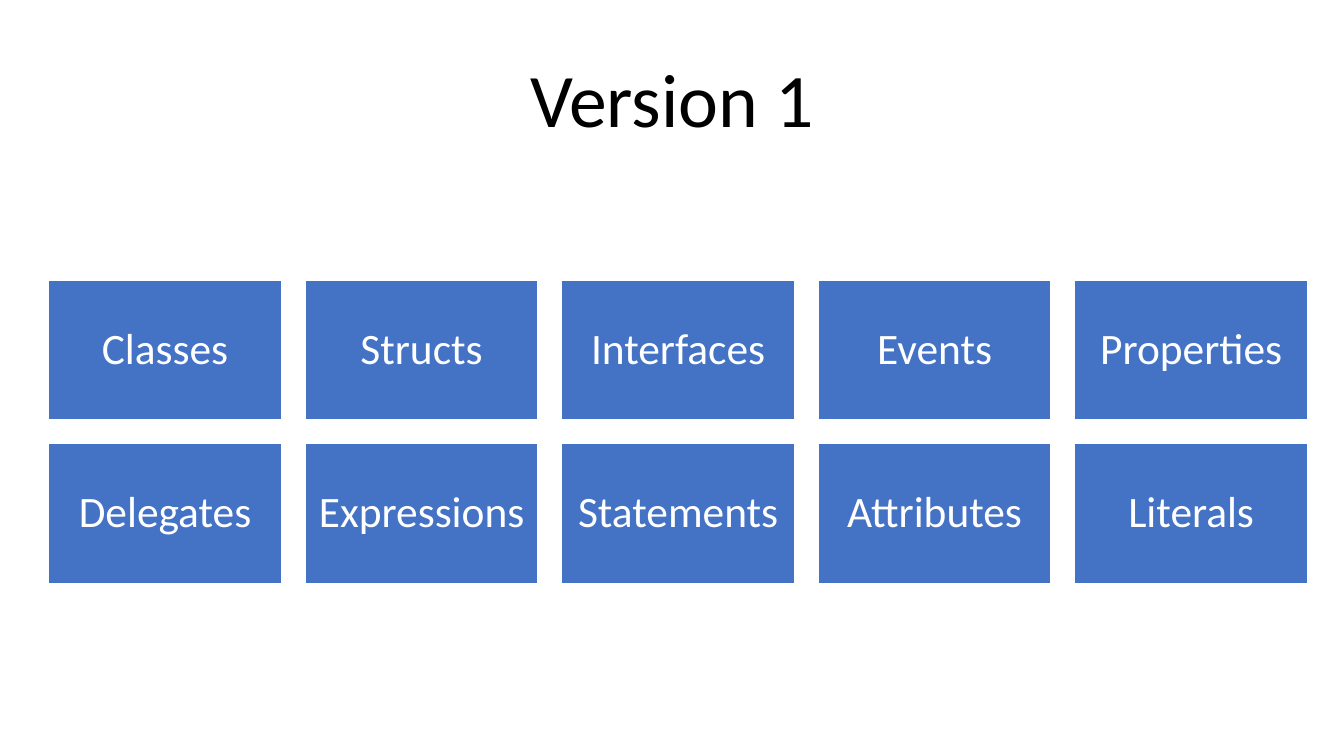
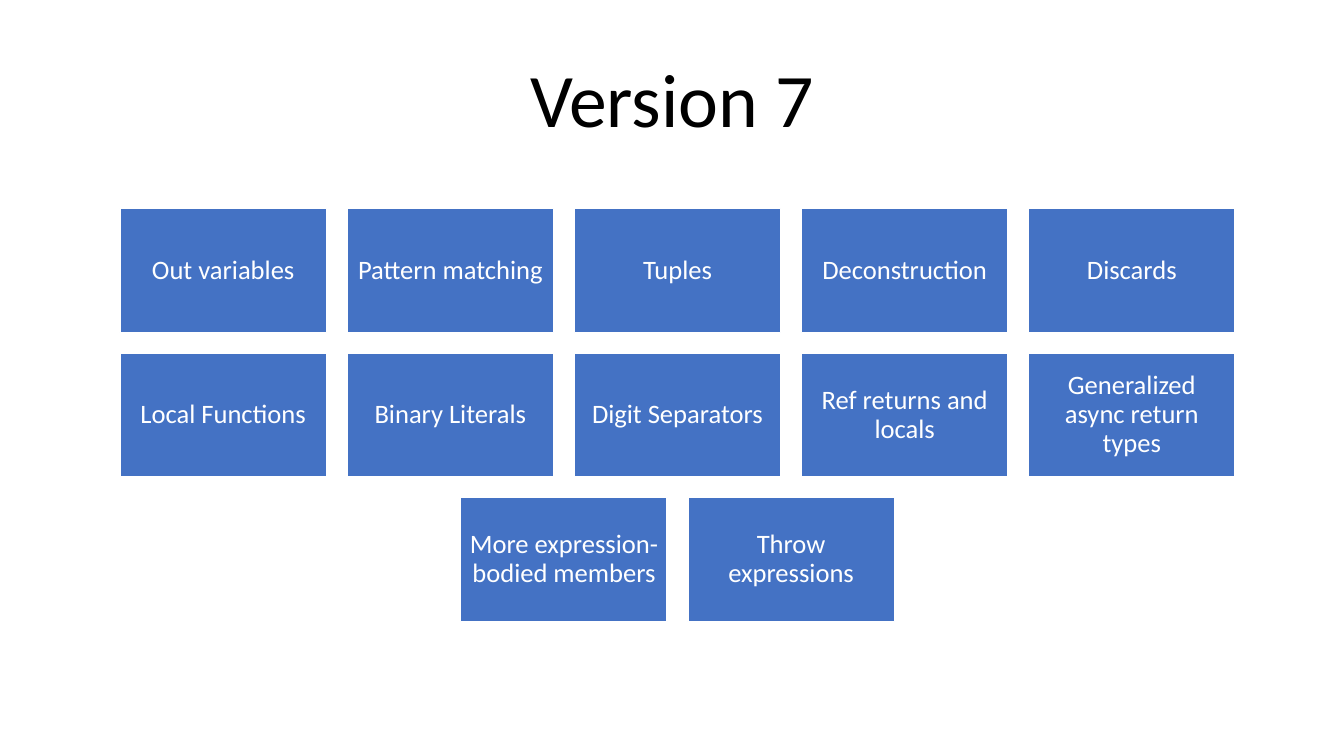
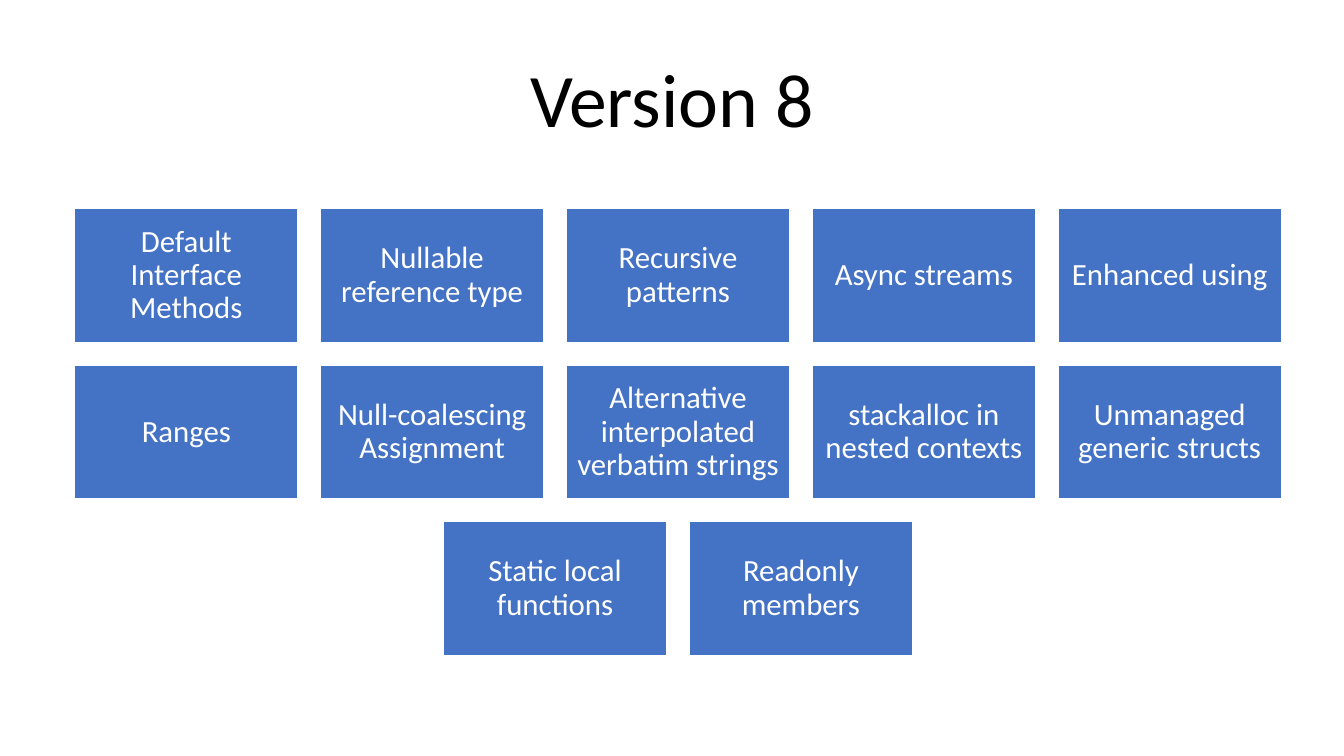
from pptx import Presentation
from pptx.dml.color import RGBColor
from pptx.enum.shapes import MSO_SHAPE as Shape
from pptx.enum.text import MSO_ANCHOR as Anchor, MSO_AUTO_SIZE as AutoSize, PP_ALIGN as Align
from pptx.util import Inches, Pt

FONT = "Calibri"
BLACK, WHITE, BLUE = "000000", "FFFFFF", "4472C4"
TITLE_BOX = (5.14, 0.46, 3.05, 1.01)
COLUMNS = 5
GAP_RATIO = 0.1
HEIGHT_RATIO = 0.6
INSET_RATIO = 0.3

VERSIONS = [
    ("Version 1", (0.48, 2.78, 12.49), 31, [
        "Classes", "Structs", "Interfaces", "Events", "Properties",
        "Delegates", "Expressions", "Statements", "Attributes", "Literals",
    ]),
    ("Version 7", (1.19, 2.07, 11.06), 19, [
        "Out variables", "Pattern matching", "Tuples", "Deconstruction", "Discards",
        "Local Functions", "Binary Literals", "Digit Separators",
        "Ref returns and locals", "Generalized async return types",
        "More expression-bodied members", "Throw expressions",
    ]),
    ("Version 8", (0.74, 2.07, 11.97), 22, [
        "Default Interface Methods", "Nullable reference type", "Recursive patterns",
        "Async streams", "Enhanced using",
        "Ranges", "Null-coalescing Assignment", "Alternative interpolated verbatim strings",
        "stackalloc in nested contexts", "Unmanaged generic structs",
        "Static local functions", "Readonly members",
    ]),
]


def color(value):
    return RGBColor.from_string(value)


def write(shape, text, size, text_color, inset, wrap):
    frame = shape.text_frame
    frame.text = text
    frame.word_wrap = wrap
    frame.auto_size = AutoSize.NONE
    frame.vertical_anchor = Anchor.MIDDLE
    frame.margin_left = frame.margin_right = inset
    frame.margin_top = frame.margin_bottom = inset
    paragraph = frame.paragraphs[0]
    paragraph.alignment = Align.CENTER
    font = paragraph.runs[0].font
    font.name = FONT
    font.size = Pt(size)
    font.color.rgb = color(text_color)
    return paragraph


def add_title(slide, text):
    title = slide.shapes.title
    title.left, title.top, title.width, title.height = map(Inches, TITLE_BOX)
    write(title, text, 54, BLACK, Inches(0.05), False)


def add_tile(slide, box, text, size):
    tile = slide.shapes.add_shape(Shape.RECTANGLE, *map(Inches, box))
    tile.shadow.inherit = False
    tile.fill.solid()
    tile.fill.fore_color.rgb = color(BLUE)
    tile.line.color.rgb = color(WHITE)
    tile.line.width = Pt(1)
    paragraph = write(tile, text, size, WHITE, Pt(size * INSET_RATIO), True)
    paragraph.line_spacing = 0.9


def add_feature_grid(slide, box, size, features):
    left, top, width = box
    tile_width = width / (COLUMNS + (COLUMNS - 1) * GAP_RATIO)
    tile_height = tile_width * HEIGHT_RATIO
    gap = tile_width * GAP_RATIO
    for row, start in enumerate(range(0, len(features), COLUMNS)):
        names = features[start:start + COLUMNS]
        row_left = left + (COLUMNS - len(names)) * (tile_width + gap) / 2
        tile_top = top + row * (tile_height + gap)
        for column, name in enumerate(names):
            tile_left = row_left + column * (tile_width + gap)
            add_tile(slide, (tile_left, tile_top, tile_width, tile_height), name, size)


def add_version_slide(presentation, title, box, size, features):
    slide = presentation.slides.add_slide(presentation.slide_layouts[5])
    add_title(slide, title)
    add_feature_grid(slide, box, size, features)


def main():
    presentation = Presentation()
    presentation.slide_width = Inches(13.33)
    presentation.slide_height = Inches(7.5)
    for version in VERSIONS:
        add_version_slide(presentation, *version)
    presentation.save("out.pptx")


if __name__ == "__main__":
    main()
